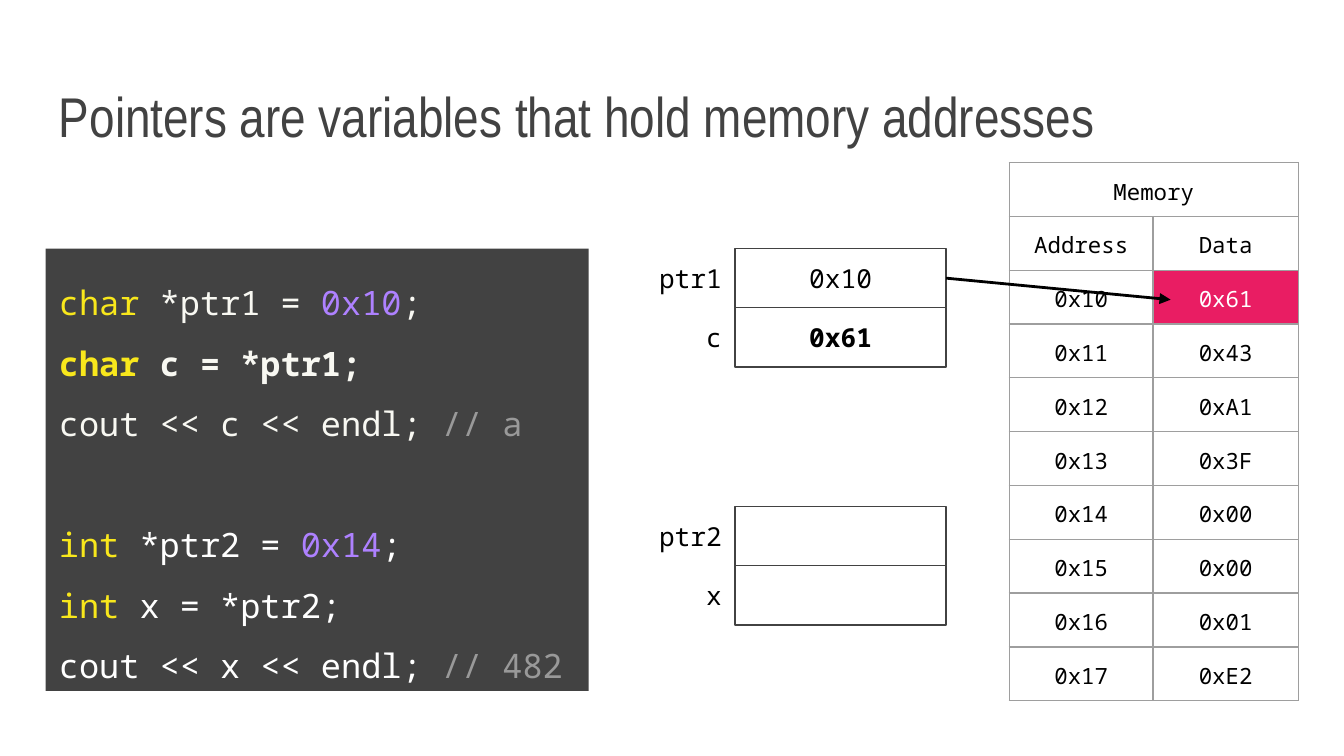
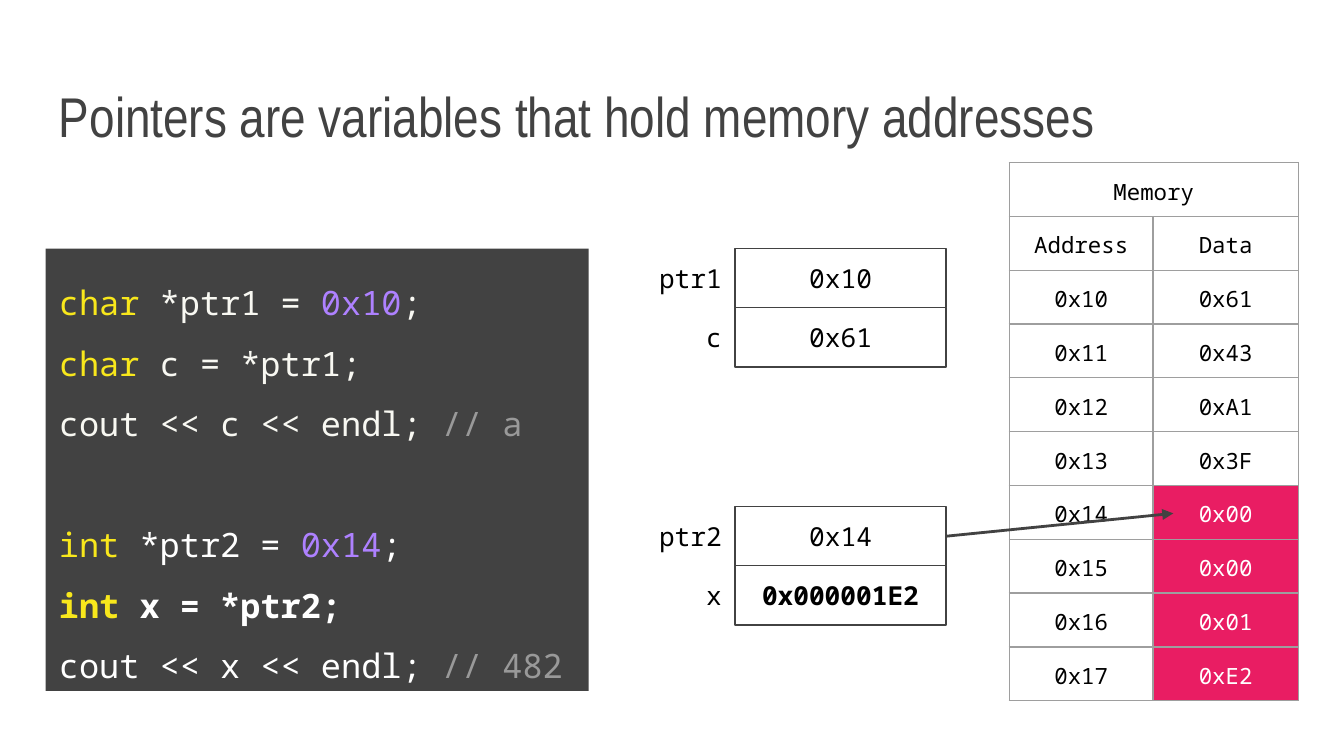
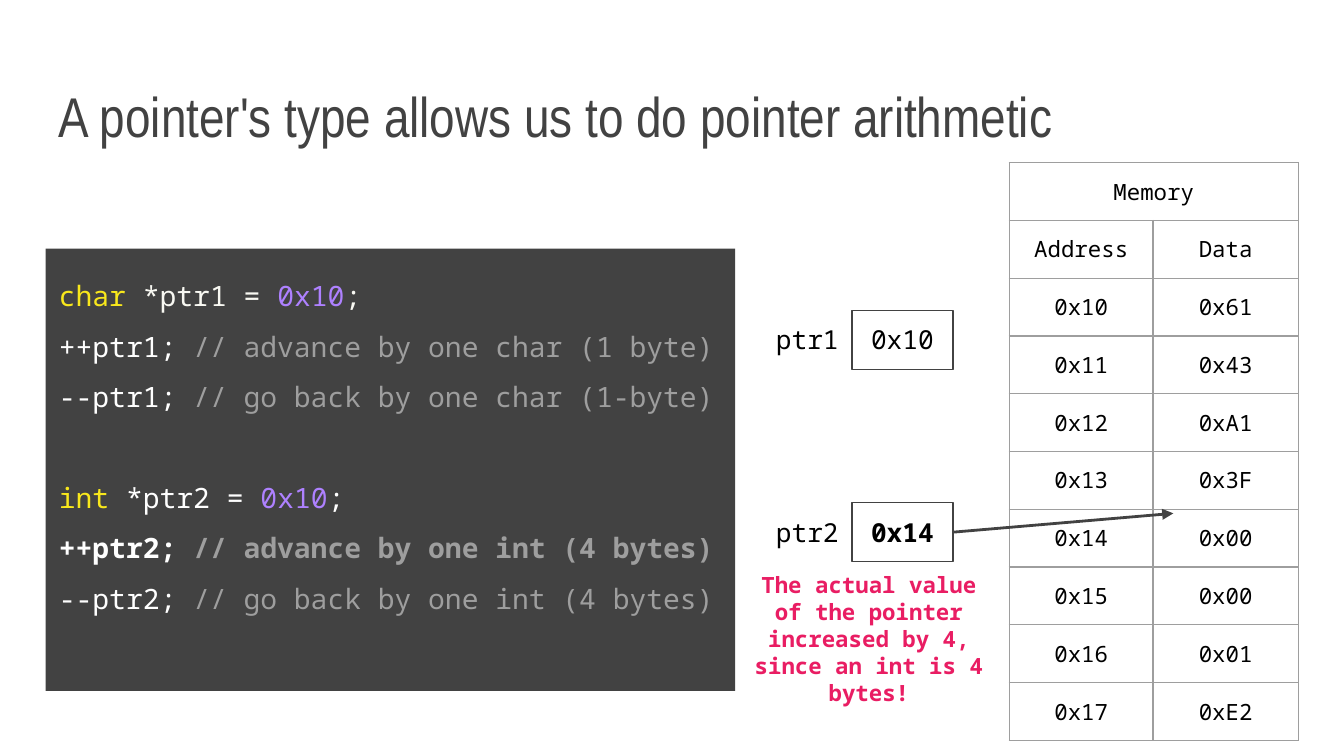
"""Build three slides on pointers, memory addresses and pointer arithmetic."""
from dataclasses import dataclass
from typing import NamedTuple, Optional

from lxml.etree import SubElement
from pptx import Presentation
from pptx.dml.color import RGBColor
from pptx.enum.shapes import MSO_CONNECTOR as Connector, MSO_SHAPE as Preset
from pptx.enum.text import MSO_ANCHOR as Anchor, PP_ALIGN as Align
from pptx.oxml.ns import qn
from pptx.util import Inches, Pt

DARK = RGBColor(0x42, 0x42, 0x42)
BLACK = RGBColor(0, 0, 0)
WHITE = RGBColor(0xFF, 0xFF, 0xFF)
CREAM = RGBColor(0xF8, 0xF8, 0xF2)
YELLOW = RGBColor(0xF8, 0xE7, 0x1C)
PURPLE = RGBColor(0xAE, 0x81, 0xFF)
COMMENT = RGBColor(0x99, 0x99, 0x99)
GREY = RGBColor(0x9E, 0x9E, 0x9E)
PINK = RGBColor(0xE9, 0x1D, 0x63)

TITLE_FONT = "Arial Narrow"
MONO_FONT = "Noto Sans Mono"
BOX_HEIGHT = 0.44
COLUMN_WIDTHS = (1.07, 1.08)
MEMORY = ["0x61", "0x43", "0xA1", "0x3F", "0x00", "0x00", "0x01", "0xE2"]
FIRST_ADDRESS = 0x10


class Token(NamedTuple):
    text: str
    color: RGBColor


class CodeLine(NamedTuple):
    tokens: list[Token]
    opens_group: bool = False


class Variable(NamedTuple):
    name: str
    value: str
    top: float
    bold: bool = False


class Arrow(NamedTuple):
    start: tuple[float, float]
    end: tuple[float, float]
    color: RGBColor = DARK


@dataclass
class Lesson:
    title: str
    code: list[CodeLine]
    bold_line: int
    code_width: float
    code_size: int
    label_left: float
    label_width: float
    value_width: float
    variables: list[Variable]
    arrow: Arrow
    row_height: float = 0.39
    read_bytes: range = range(0)
    caption: Optional[str] = None


def pointer_line(kind: str, name: str, address: str, ink: RGBColor, opens_group: bool = False) -> CodeLine:
    """Return the declaration of a pointer."""
    tokens = [Token(f"{kind} ", YELLOW), Token(f"*{name} = ", ink), Token(address, PURPLE), Token(";", ink)]
    return CodeLine(tokens, opens_group)


def deref_line(kind: str, name: str, pointer: str, ink: RGBColor) -> CodeLine:
    """Return the declaration of a variable read through a pointer."""
    return CodeLine([Token(f"{kind} ", YELLOW), Token(f"{name} = *{pointer};", ink)])


def noted_line(statement: str, note: str, ink: RGBColor, note_color: RGBColor) -> CodeLine:
    """Return a statement followed by a comment."""
    return CodeLine([Token(f"{statement} ", ink), Token(f"// {note}", note_color)])


def set_insets(frame) -> None:
    """Wrap a text frame and give it even insets."""
    frame.word_wrap = True
    frame.margin_left = frame.margin_right = Inches(0.1)
    frame.margin_top = frame.margin_bottom = Inches(0.1)


def write(frame, text: str, size: int, color: RGBColor, align: Align = Align.LEFT,
          bold: bool = False, font: str = MONO_FONT) -> None:
    """Write one uniformly styled paragraph."""
    paragraph = frame.paragraphs[0]
    paragraph.text = text
    paragraph.alignment = align
    paragraph.font.name = font
    paragraph.font.size = Pt(size)
    paragraph.font.bold = bold
    paragraph.font.color.rgb = color


def add_label(slide, left: float, top: float, width: float, height: float):
    """Add a text box and return its frame."""
    frame = slide.shapes.add_textbox(Inches(left), Inches(top), Inches(width), Inches(height)).text_frame
    set_insets(frame)
    return frame


def add_rectangle(slide, left: float, top: float, width: float, height: float):
    """Add a plain rectangle with text set from the top."""
    rectangle = slide.shapes.add_shape(
        Preset.RECTANGLE, Inches(left), Inches(top), Inches(width), Inches(height))
    rectangle.shadow.inherit = False
    set_insets(rectangle.text_frame)
    rectangle.text_frame.vertical_anchor = Anchor.TOP
    return rectangle


def add_code(slide, lesson: Lesson) -> None:
    """Add the dark panel with highlighted code."""
    panel = add_rectangle(slide, 0.34, 1.85, lesson.code_width, 3.29)
    panel.fill.solid()
    panel.fill.fore_color.rgb = DARK
    panel.line.fill.background()
    frame = panel.text_frame
    for index, line in enumerate(lesson.code):
        paragraph = frame.add_paragraph() if index else frame.paragraphs[0]
        paragraph.alignment = Align.LEFT
        paragraph.line_spacing = 1.5
        if line.opens_group:
            paragraph.space_before = Pt(1.8 * lesson.code_size)
        paragraph.font.name = MONO_FONT
        paragraph.font.size = Pt(lesson.code_size)
        paragraph.font.bold = index == lesson.bold_line
        for token in line.tokens:
            run = paragraph.add_run()
            run.text = token.text
            run.font.color.rgb = token.color


def add_variable(slide, lesson: Lesson, variable: Variable) -> None:
    """Add a variable name beside the box that holds its value."""
    name = add_label(slide, lesson.label_left, variable.top, lesson.label_width, BOX_HEIGHT)
    write(name, variable.name, 14, BLACK, Align.RIGHT)
    box = add_rectangle(
        slide, lesson.label_left + lesson.label_width, variable.top, lesson.value_width, BOX_HEIGHT)
    box.fill.background()
    box.line.color.rgb = DARK
    box.line.width = Pt(0.75)
    if variable.value:
        write(box.text_frame, variable.value, 14, BLACK, Align.CENTER, variable.bold)


def add_borders(cell) -> None:
    """Draw thin grey borders around a cell."""
    properties = cell._tc.get_or_add_tcPr()
    for side in ("a:lnL", "a:lnR", "a:lnT", "a:lnB"):
        border = SubElement(properties, qn(side), w=str(Pt(0.75)))
        SubElement(SubElement(border, qn("a:solidFill")), qn("a:srgbClr"), val=str(GREY))


def add_memory(slide, lesson: Lesson) -> None:
    """Add the memory table and highlight the bytes being read."""
    rows = [("Memory", ""), ("Address", "Data")]
    rows += [(f"0x{FIRST_ADDRESS + offset:x}", data) for offset, data in enumerate(MEMORY)]
    table = slide.shapes.add_table(
        len(rows), 2, Inches(7.51), Inches(1.21), Inches(sum(COLUMN_WIDTHS)),
        Inches(lesson.row_height * len(rows))).table
    table.first_row = table.horz_banding = False
    for column, width in zip(table.columns, COLUMN_WIDTHS):
        column.width = Inches(width)
    for row_index, row in enumerate(rows):
        table.rows[row_index].height = Inches(lesson.row_height)
        for column_index, text in enumerate(row):
            cell = table.cell(row_index, column_index)
            cell.margin_left = cell.margin_right = cell.margin_top = cell.margin_bottom = Inches(0.1)
            add_borders(cell)
            is_read = column_index == 1 and row_index - 2 in lesson.read_bytes
            if is_read:
                cell.fill.solid()
                cell.fill.fore_color.rgb = PINK
            else:
                cell.fill.background()
            write(cell.text_frame, text, 12, WHITE if is_read else BLACK, Align.CENTER)
    table.cell(0, 0).merge(table.cell(0, 1))


def add_arrow(slide, arrow: Arrow) -> None:
    """Add the arrow from a pointer to the byte it points at."""
    ends = [Inches(length) for length in (*arrow.start, *arrow.end)]
    connector = slide.shapes.add_connector(Connector.STRAIGHT, *ends)
    connector.line.color.rgb = arrow.color
    connector.line.width = Pt(1.5)
    SubElement(connector.line._get_or_add_ln(), qn("a:tailEnd"), type="triangle")
    SubElement(connector._element.spPr, qn("a:effectLst"))


def add_lesson(deck, lesson: Lesson) -> None:
    """Add one slide to the deck."""
    slide = deck.slides.add_slide(deck.slide_layouts[6])
    title = add_label(slide, 0.34, 0.41, 9.32, 0.8)
    title.vertical_anchor = Anchor.BOTTOM
    write(title, lesson.title, 30, DARK, font=TITLE_FONT)
    add_code(slide, lesson)
    for variable in lesson.variables:
        add_variable(slide, lesson, variable)
    add_memory(slide, lesson)
    add_arrow(slide, lesson.arrow)
    if lesson.caption:
        caption = add_label(slide, 5.46, 4.15, 2.01, 1.21)
        write(caption, lesson.caption, 12, PINK, Align.CENTER, bold=True)


def address_lesson(bold_line: int, variables: list[Variable], arrow: Arrow, read_bytes: range) -> Lesson:
    """Return a step of the lesson on reading through pointers."""
    code = [
        pointer_line("char", "ptr1", "0x10", CREAM),
        deref_line("char", "c", "ptr1", CREAM),
        noted_line("cout << c << endl;", "a", CREAM, COMMENT),
        pointer_line("int", "ptr2", "0x14", WHITE, opens_group=True),
        deref_line("int", "x", "ptr2", WHITE),
        noted_line("cout << x << endl;", "482", WHITE, COMMENT),
    ]
    return Lesson("Pointers are variables that hold memory addresses", code, bold_line, 4.04, 18,
                  4.8, 0.67, 1.57, variables, arrow, read_bytes=read_bytes)


def arithmetic_lesson() -> Lesson:
    """Return the lesson on pointer arithmetic."""
    code = [
        pointer_line("char", "ptr1", "0x10", CREAM),
        noted_line("++ptr1;", "advance by one char (1 byte)", WHITE, GREY),
        noted_line("--ptr1;", "go back by one char (1-byte)", WHITE, GREY),
        pointer_line("int", "ptr2", "0x10", WHITE, opens_group=True),
        noted_line("++ptr2;", "advance by one int (4 bytes)", WHITE, GREY),
        noted_line("--ptr2;", "go back by one int (4 bytes)", WHITE, GREY),
    ]
    variables = [Variable("ptr1", "0x10", 2.31), Variable("ptr2", "0x14", 3.74, bold=True)]
    return Lesson("A pointer's type allows us to do pointer arithmetic", code, 4, 5.13, 15,
                  5.61, 0.73, 0.75, variables, Arrow((7.09, 3.96), (8.73, 3.82)), row_height=0.43,
                  caption="The actual value of the pointer increased by 4, since an int is 4 bytes!")


def main() -> None:
    """Build and save the deck."""
    deck = Presentation()
    deck.slide_width = Inches(10)
    deck.slide_height = Inches(10 * 9 / 16)
    char_read = [
        Variable("ptr1", "0x10", 1.85),
        Variable("c", "0x61", 2.29, bold=True),
        Variable("ptr2", "", 3.77),
        Variable("x", "", 4.21),
    ]
    int_read = [
        Variable("ptr1", "0x10", 1.85),
        Variable("c", "0x61", 2.29),
        Variable("ptr2", "0x14", 3.77),
        Variable("x", "0x000001E2", 4.21, bold=True),
    ]
    lessons = [
        address_lesson(1, char_read, Arrow((7.04, 2.07), (8.71, 2.23), BLACK), range(1)),
        address_lesson(4, int_read, Arrow((7.04, 3.99), (8.73, 3.82)), range(4, 8)),
        arithmetic_lesson(),
    ]
    for lesson in lessons:
        add_lesson(deck, lesson)
    deck.save("out.pptx")


if __name__ == "__main__":
    main()
